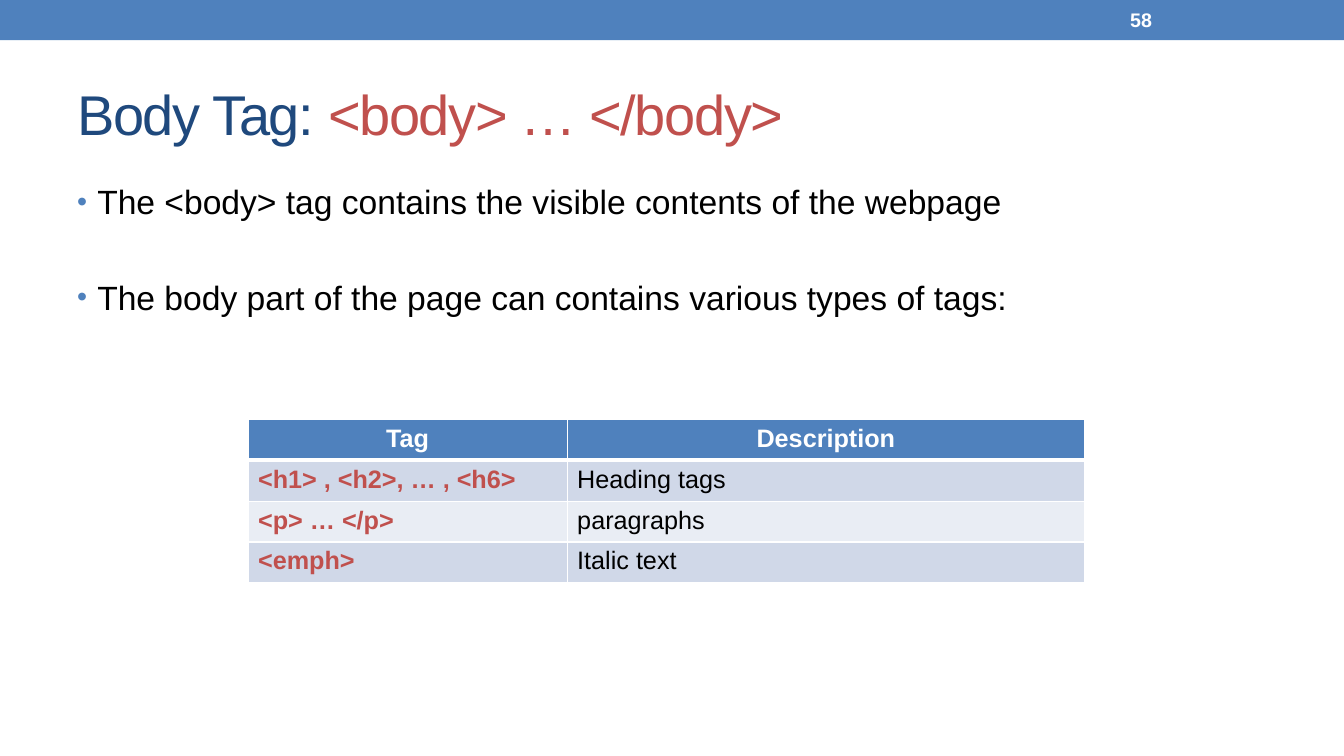
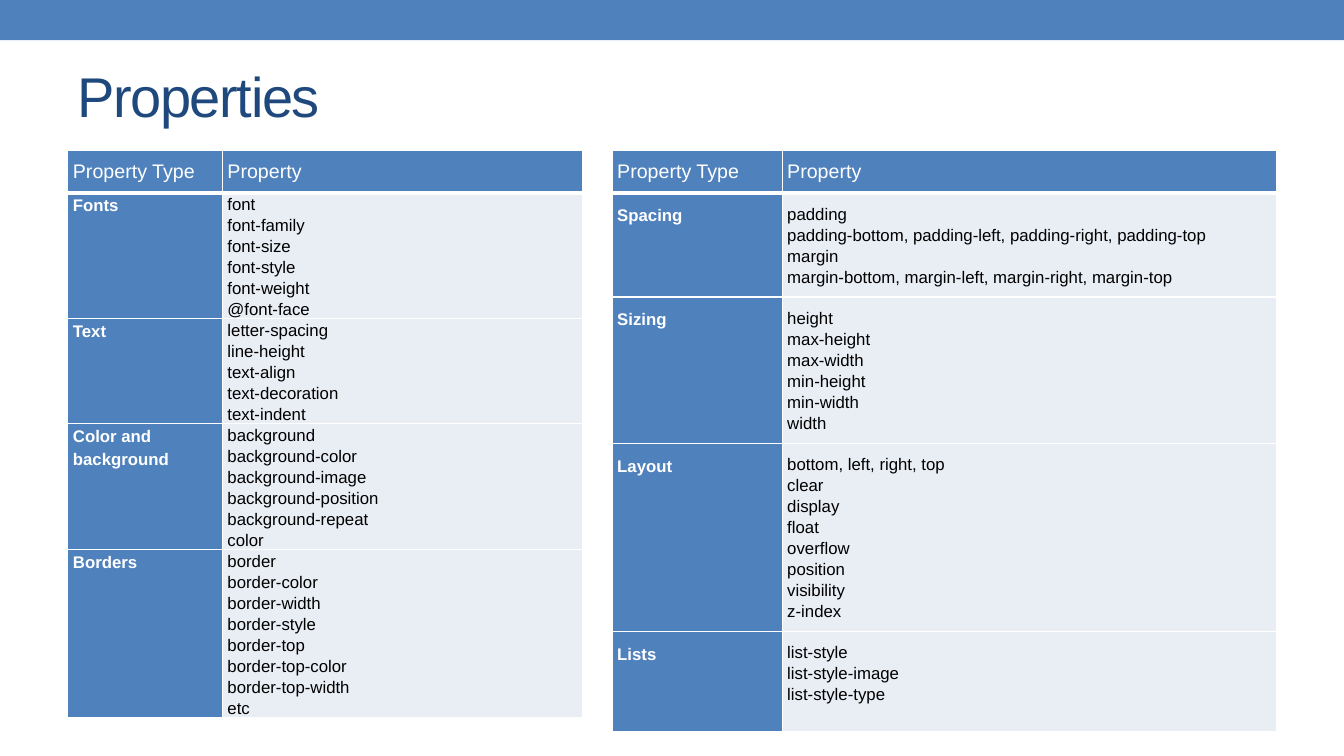
from dataclasses import dataclass
from typing import Optional

from lxml.etree import SubElement
from pptx import Presentation
from pptx.dml.color import RGBColor
from pptx.enum.shapes import MSO_SHAPE
from pptx.enum.text import MSO_ANCHOR, MSO_AUTO_SIZE, PP_ALIGN
from pptx.oxml.ns import qn
from pptx.presentation import Presentation as Deck
from pptx.shapes.base import BaseShape
from pptx.slide import Slide
from pptx.table import _Cell as Cell
from pptx.text.text import Font, TextFrame
from pptx.util import Inches, Length, Pt


@dataclass(frozen=True)
class Theme:
    font: str = "Arial"
    blue: str = "4F81BD"
    navy: str = "1F497D"
    red: str = "C0504D"
    white: str = "FFFFFF"
    black: str = "000000"
    band_dark: str = "D0D8E8"
    band_light: str = "E9EDF4"
    title_size: int = 40
    body_size: int = 24
    table_size: int = 18
    header_size: int = 14
    property_size: int = 12
    label_leading: int = 16
    property_leading: int = 15
    thin_line: int = 1
    thick_line: int = 3


@dataclass(frozen=True)
class Box:
    column: float
    row: float
    columns: float
    rows: float


@dataclass(frozen=True)
class CellStyle:
    fill: str
    color: str
    size: int
    bold: bool = False
    centered: bool = False
    leading: Optional[int] = None
    inset_x: float = 0.1
    inset_y: float = 0.05


@dataclass(frozen=True)
class PropertyGroup:
    label: str
    properties: tuple[str, ...]


@dataclass(frozen=True)
class PropertyTable:
    column: float
    widths: tuple[float, float]
    inset_y: float
    last_row_minimum: float
    groups: tuple[PropertyGroup, ...]


THEME = Theme()
GRID_COLUMNS, GRID_ROWS = 20, 75
SLIDE_WIDTH, SLIDE_HEIGHT = Inches(13.33), Inches(7.5)
HEADER_INSET = 0.1

TAG_ROWS = (
    ("Tag", "Description"),
    ("<h1> , <h2>, … , <h6>", "Heading tags"),
    ("<p> … </p>", "paragraphs"),
    ("<emph>", "Italic text"),
)

PROPERTY_TABLES = (
    PropertyTable(1.01, (2.3, 5.36), 0, 0, (
        PropertyGroup("Fonts", ("font", "font-family", "font-size", "font-style",
                                "font-weight", "@font-face")),
        PropertyGroup("Text", ("letter-spacing", "line-height", "text-align",
                               "text-decoration", "text-indent")),
        PropertyGroup("Color and background", (
            "background", "background-color", "background-image",
            "background-position", "background-repeat", "color")),
        PropertyGroup("Borders", (
            "border", "border-color", "border-width", "border-style", "border-top",
            "border-top-color", "border-top-width", "etc")),
    )),
    PropertyTable(9.11, (2.53, 7.36), 0.1, 1, (
        PropertyGroup("Spacing", (
            "padding", "padding-bottom, padding-left, padding-right, padding-top",
            "margin", "margin-bottom, margin-left, margin-right, margin-top")),
        PropertyGroup("Sizing", ("height", "max-height", "max-width", "min-height",
                                 "min-width", "width")),
        PropertyGroup("Layout", (
            "bottom, left, right, top", "clear", "display", "float", "overflow",
            "position", "visibility", "z-index")),
        PropertyGroup("Lists", ("list-style", "list-style-image", "list-style-type")),
    )),
)


def across(columns: float) -> Length:
    return Length(round(SLIDE_WIDTH * columns / GRID_COLUMNS))


def down(rows: float) -> Length:
    return Length(round(SLIDE_HEIGHT * rows / GRID_ROWS))


def bounds(box: Box) -> tuple[Length, Length, Length, Length]:
    return across(box.column), down(box.row), across(box.columns), down(box.rows)


def format_font(font: Font, size: int, color: str, bold: bool = False) -> None:
    font.name = THEME.font
    font.size = Pt(size)
    font.bold = bold
    font.color.rgb = RGBColor.from_string(color)


def add_band(presentation: Deck, slide: Slide) -> None:
    band = slide.shapes.add_shape(MSO_SHAPE.RECTANGLE, *bounds(Box(0, 0, GRID_COLUMNS, 4)))
    band.shadow.inherit = False
    band.fill.solid()
    band.fill.fore_color.rgb = RGBColor.from_string(THEME.blue)
    band.line.fill.background()
    band.element.xpath(".//p:cNvPr")[0].set("id", "20")
    presentation.slide_master.shapes.element.insert(2, band.element)


def set_title(slide: Slide, row: float, parts: tuple[tuple[str, str], ...]) -> None:
    title: BaseShape = slide.shapes.title
    title.left, title.top, title.width, title.height = bounds(Box(1, row, 18, 10.8))
    text_frame = title.text_frame
    text_frame.auto_size = MSO_AUTO_SIZE.NONE
    text_frame.vertical_anchor = MSO_ANCHOR.MIDDLE
    paragraph = text_frame.paragraphs[0]
    paragraph.alignment = PP_ALIGN.LEFT
    for text, color in parts:
        run = paragraph.add_run()
        run.text = text
        format_font(run.font, THEME.title_size, color)
        run.font._element.set("spc", "-100")


def add_text(slide: Slide, box: Box, text: str) -> TextFrame:
    text_frame = slide.shapes.add_textbox(*bounds(box)).text_frame
    text_frame.word_wrap = True
    text_frame.text = text
    return text_frame


def add_bullets(slide: Slide, box: Box, lines: tuple[str, ...], gap: float) -> None:
    text_frame = add_text(slide, box, "\n".join(lines))
    for index, paragraph in enumerate(text_frame.paragraphs):
        properties = paragraph._p.get_or_add_pPr()
        properties.set("marL", str(Inches(0.2)))
        properties.set("indent", str(-Inches(0.2)))
        color = SubElement(properties, qn("a:buClr"))
        SubElement(color, qn("a:srgbClr")).set("val", THEME.blue)
        SubElement(properties, qn("a:buSzPct")).set("val", "85000")
        SubElement(properties, qn("a:buFont")).set("typeface", THEME.font)
        SubElement(properties, qn("a:buChar")).set("char", "•")
        if index:
            paragraph.space_before = Pt(gap)
        format_font(paragraph.runs[0].font, THEME.body_size, THEME.black)


def set_borders(cell: Cell, top: int, bottom: int) -> None:
    properties = cell._tc.get_or_add_tcPr()
    widths = {"L": THEME.thin_line, "R": THEME.thin_line, "T": top, "B": bottom}
    for side, width in widths.items():
        line = SubElement(properties, qn(f"a:ln{side}"), w=str(Pt(width)))
        fill = SubElement(line, qn("a:solidFill"))
        SubElement(fill, qn("a:srgbClr")).set("val", THEME.white)


def fill_cell(cell: Cell, text: str, style: CellStyle, row: int) -> None:
    set_borders(cell,
                THEME.thick_line if row == 1 else THEME.thin_line,
                THEME.thick_line if row == 0 else THEME.thin_line)
    cell.fill.solid()
    cell.fill.fore_color.rgb = RGBColor.from_string(style.fill)
    cell.margin_left = cell.margin_right = Inches(style.inset_x)
    cell.margin_top = cell.margin_bottom = Inches(style.inset_y)
    cell.text_frame.text = text
    for paragraph in cell.text_frame.paragraphs:
        paragraph.alignment = PP_ALIGN.CENTER if style.centered else PP_ALIGN.LEFT
        if style.leading:
            paragraph.line_spacing = Pt(style.leading)
        format_font(paragraph.runs[0].font, style.size, style.color, style.bold)


def add_table(slide: Slide, column: float, row: float, widths: tuple[float, ...],
              heights: list[float], texts: list[tuple[str, ...]],
              styles: list[tuple[CellStyle, ...]]) -> None:
    box = Box(column, row, sum(widths), sum(heights))
    table = slide.shapes.add_table(len(heights), len(widths), *bounds(box)).table
    table.horz_banding = False
    for table_column, width in zip(table.columns, widths):
        table_column.width = across(width)
    for index, height in enumerate(heights):
        table.rows[index].height = down(height)
        for position, (text, style) in enumerate(zip(texts[index], styles[index])):
            fill_cell(table.cell(index, position), text, style, index)


def add_tag_table(slide: Slide) -> None:
    header = CellStyle(THEME.blue, THEME.white, THEME.table_size, bold=True, centered=True)
    styles = [(header, header)]
    for index in range(1, len(TAG_ROWS)):
        fill = THEME.band_dark if index % 2 else THEME.band_light
        styles.append((CellStyle(fill, THEME.red, THEME.table_size, bold=True),
                       CellStyle(fill, THEME.black, THEME.table_size)))
    add_table(slide, 3.69, 41.6, (4.75, 7.7), [4.06] * len(TAG_ROWS), list(TAG_ROWS), styles)


def text_rows(lines: int, leading: int, inset: float) -> float:
    return (Pt(leading) * lines + 2 * Inches(inset)) * GRID_ROWS / SLIDE_HEIGHT


def add_property_table(slide: Slide, table: PropertyTable) -> None:
    header = CellStyle(THEME.blue, THEME.white, THEME.header_size,
                       leading=THEME.label_leading, inset_x=0.05, inset_y=HEADER_INSET)
    label = CellStyle(THEME.blue, THEME.white, THEME.property_size, bold=True,
                      leading=THEME.label_leading, inset_x=0.05, inset_y=table.inset_y)
    listing = CellStyle(THEME.band_light, THEME.black, THEME.property_size,
                        leading=THEME.property_leading, inset_x=0.05, inset_y=table.inset_y)
    heights = [text_rows(1, THEME.label_leading, HEADER_INSET)]
    heights += [text_rows(len(group.properties), THEME.property_leading, table.inset_y)
                for group in table.groups]
    heights[-1] = max(heights[-1], table.last_row_minimum * 10)
    texts = [("Property Type", "Property")]
    texts += [(group.label, "\n".join(group.properties)) for group in table.groups]
    styles = [(header, header)] + [(label, listing)] * len(table.groups)
    add_table(slide, table.column, 14.9, table.widths, heights, texts, styles)


def build_body_slide(slide: Slide) -> None:
    set_title(slide, 5.8, (("Body Tag: ", THEME.navy), ("<body> … </body>", THEME.red)))
    add_bullets(slide, Box(1, 17.5, 18, 53.3), (
        "The <body> tag contains the visible contents of the webpage",
        "The body part of the page can contains various types of tags:",
    ), 39.5)
    number = add_text(slide, Box(16.67, 0.2, 2.33, 3.6), "58")
    number.vertical_anchor = MSO_ANCHOR.MIDDLE
    format_font(number.paragraphs[0].runs[0].font, THEME.header_size, THEME.white, True)
    add_tag_table(slide)


def build_properties_slide(slide: Slide) -> None:
    set_title(slide, 4, (("Properties", THEME.navy),))
    for table in PROPERTY_TABLES:
        add_property_table(slide, table)


def main() -> None:
    presentation = Presentation()
    presentation.slide_width, presentation.slide_height = SLIDE_WIDTH, SLIDE_HEIGHT
    title_only = presentation.slide_layouts[5]
    body_slide, properties_slide = (presentation.slides.add_slide(title_only) for _ in range(2))
    add_band(presentation, body_slide)
    build_body_slide(body_slide)
    build_properties_slide(properties_slide)
    presentation.save("out.pptx")


if __name__ == "__main__":
    main()
